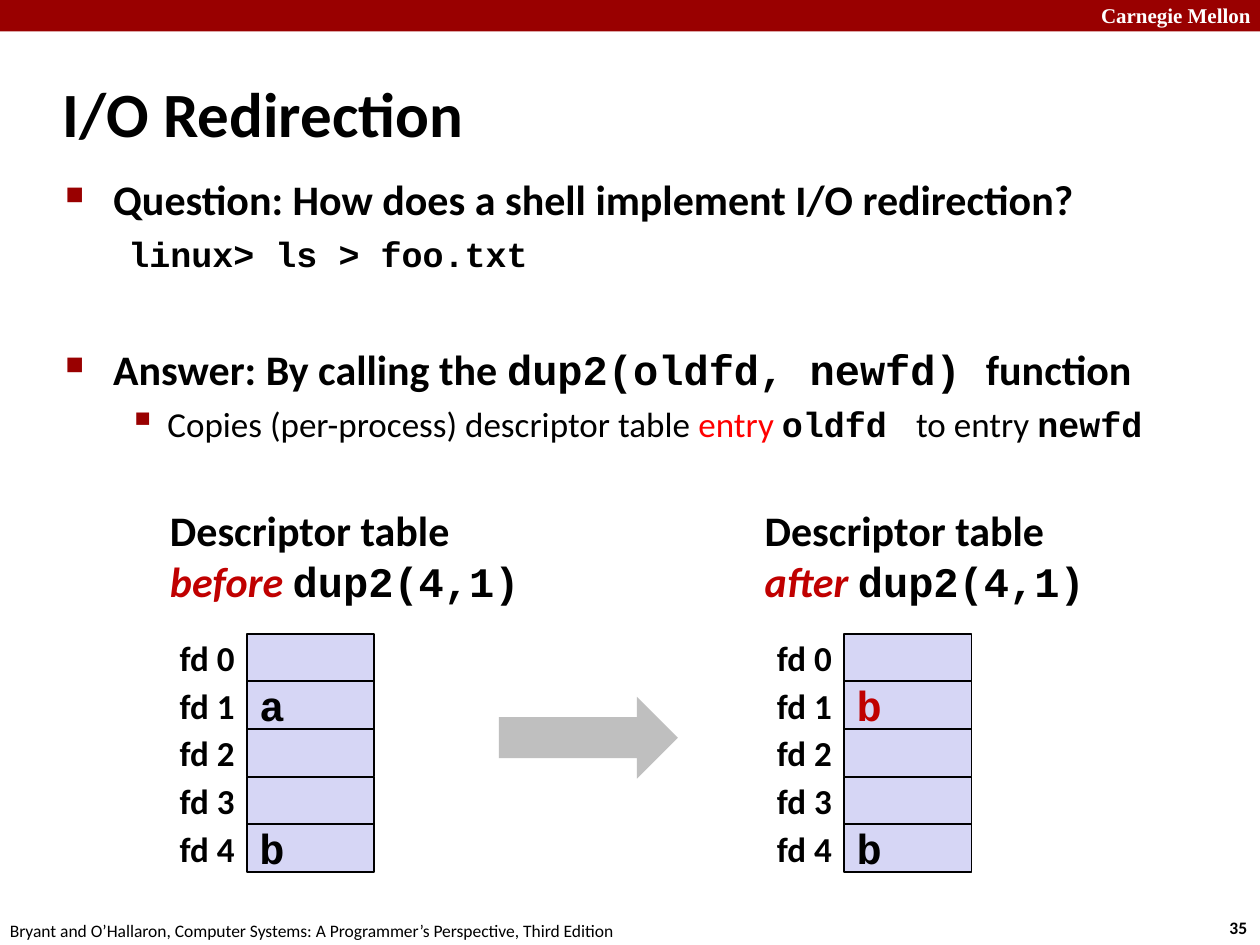
from pptx import Presentation
from pptx.dml.color import RGBColor
from pptx.enum.shapes import MSO_SHAPE
from pptx.enum.text import MSO_ANCHOR, PP_ALIGN
from pptx.oxml.ns import qn
from pptx.util import Inches, Pt
from lxml import etree

RECTANGLE, ARROW = MSO_SHAPE.RECTANGLE, MSO_SHAPE.RIGHT_ARROW
TOP, MIDDLE = MSO_ANCHOR.TOP, MSO_ANCHOR.MIDDLE
LEFT, RIGHT = PP_ALIGN.LEFT, PP_ALIGN.RIGHT

SANS, MONO, SERIF = "Calibri", "Courier New", "Times New Roman"
COLORS = {
    "black": "000000",
    "white": "FFFFFF",
    "banner": "990000",
    "accent": "C00000",
    "red": "FF0000",
    "cell": "D6D6F5",
    "arrow": "BFBFBF",
}

TABLE_TOP = 5.03
ROW_COUNT = 5
ROW_HEIGHT = 1.89 / ROW_COUNT
COLUMN_WIDTH = 1.01


def rgb(name):
    return RGBColor.from_string(COLORS[name])


def add_run(paragraph, text, size, font=SANS, color="black", bold=True, italic=False):
    run = paragraph.add_run()
    run.text = text
    run.font.size = Pt(size)
    run.font.name = font
    run.font.bold = bold
    run.font.italic = italic
    run.font.color.rgb = rgb(color)


def add_textbox(slide, left, top, width, height, anchor=TOP):
    frame = slide.shapes.add_textbox(
        Inches(left), Inches(top), Inches(width), Inches(height)).text_frame
    frame.word_wrap = True
    frame.vertical_anchor = anchor
    return frame


def add_label(slide, box, text, size, anchor=TOP, align=LEFT, **style):
    paragraph = add_textbox(slide, *box, anchor=anchor).paragraphs[0]
    paragraph.alignment = align
    add_run(paragraph, text, size, **style)


def add_block(slide, kind, box, fill, outlined=False):
    block = slide.shapes.add_shape(kind, *(Inches(length) for length in box))
    block.shadow.inherit = False
    block.fill.solid()
    block.fill.fore_color.rgb = rgb(fill)
    if outlined:
        block.line.color.rgb = rgb("black")
        block.line.width = Pt(1)
    else:
        block.line.fill.background()
    return block


def format_item(paragraph, margin, indent, bullet=None, bullet_size=100, before=0):
    properties = paragraph._p.get_or_add_pPr()
    properties.set("marL", str(Inches(margin)))
    properties.set("indent", str(Inches(indent)))
    if bullet:
        color = etree.SubElement(properties, qn("a:buClr"))
        etree.SubElement(color, qn("a:srgbClr"), val=COLORS["banner"])
        etree.SubElement(properties, qn("a:buSzPct"), val=str(bullet_size * 1000))
        etree.SubElement(properties, qn("a:buChar"), char=bullet)
    else:
        etree.SubElement(properties, qn("a:buNone"))
    paragraph.space_before = Pt(before)


def add_body(slide):
    frame = add_textbox(slide, 0.42, 1.33, 9.08, 2.08)
    main_item = {"margin": 0.38, "indent": -0.38, "bullet": "■", "bullet_size": 60}
    sub_item = {"margin": 0.81, "indent": -0.31, "before": 5}

    question = frame.paragraphs[0]
    format_item(question, **main_item)
    add_run(question, "Question: How does a shell implement I/O redirection?", 24)

    command = frame.add_paragraph()
    format_item(command, **sub_item)
    add_run(command, "linux> ls > foo.txt", 20, MONO)

    answer = frame.add_paragraph()
    format_item(answer, before=39, **main_item)
    add_run(answer, "Answer: By calling the ", 24)
    add_run(answer, "dup2(oldfd, newfd) ", 24, MONO)
    add_run(answer, "function", 24)

    detail = frame.add_paragraph()
    format_item(detail, bullet="▪", bullet_size=110, **sub_item)
    add_run(detail, "Copies (per-process) descriptor table ", 20, bold=False)
    add_run(detail, "entry ", 20, color="red", bold=False)
    add_run(detail, "oldfd ", 20, MONO)
    add_run(detail, " to entry ", 20, bold=False)
    add_run(detail, "newfd", 20, MONO)


def add_descriptor_table(slide, left, entries):
    """Draw the rows; entries maps a descriptor to its text and colour."""
    for fd in range(ROW_COUNT):
        top = TABLE_TOP + fd * ROW_HEIGHT
        cell = add_block(slide, RECTANGLE, (left, top, COLUMN_WIDTH, ROW_HEIGHT),
                         "cell", outlined=True)
        if fd in entries:
            text, color = entries[fd]
            cell.text_frame.vertical_anchor = MIDDLE
            entry = cell.text_frame.paragraphs[0]
            entry.alignment = LEFT
            add_run(entry, text, 24, MONO, color)
        add_label(slide, (left - COLUMN_WIDTH, top, COLUMN_WIDTH, ROW_HEIGHT),
                  f"fd {fd}", 20, MIDDLE, RIGHT)


def add_caption(slide, left, moment):
    frame = add_textbox(slide, left, 3.95, 3.01, 0.91, MIDDLE)
    add_run(frame.paragraphs[0], "Descriptor table", 24)
    call = frame.add_paragraph()
    add_run(call, moment + " ", 24, color="accent", italic=True)
    add_run(call, "dup2(4,1)", 24, MONO)


def main():
    presentation = Presentation()
    presentation.slide_width, presentation.slide_height = Inches(10), Inches(7.5)
    slide = presentation.slides.add_slide(presentation.slide_layouts[6])

    # Banner and footer
    add_block(slide, RECTANGLE, (0, 0, 10, 0.25), "banner")
    add_label(slide, (8.64, -0.03, 1.43, 0.3), "Carnegie Mellon", 12,
              font=SERIF, color="white")
    add_label(slide, (9.66, 7.23, 0.37, 0.27), "35", 10)
    add_label(slide, (-0.02, 7.25, 5.08, 0.27),
              "Bryant and O’Hallaron, Computer Systems: "
              "A Programmer’s Perspective, Third Edition", 10, bold=False)

    # Title and bullets
    add_label(slide, (0.4, 0.48, 8.3, 0.83), "I/O Redirection", 36, MIDDLE)
    add_body(slide)

    # Descriptor tables before and after the call
    add_caption(slide, 1.25, "before")
    add_descriptor_table(slide, 1.96, {1: ("a", "black"), 4: ("b", "black")})
    add_caption(slide, 5.97, "after")
    add_descriptor_table(slide, 6.7, {1: ("b", "accent"), 4: ("b", "black")})
    add_block(slide, ARROW, (3.96, 5.53, 1.42, 0.65), "arrow")

    presentation.save("out.pptx")


if __name__ == "__main__":
    main()
